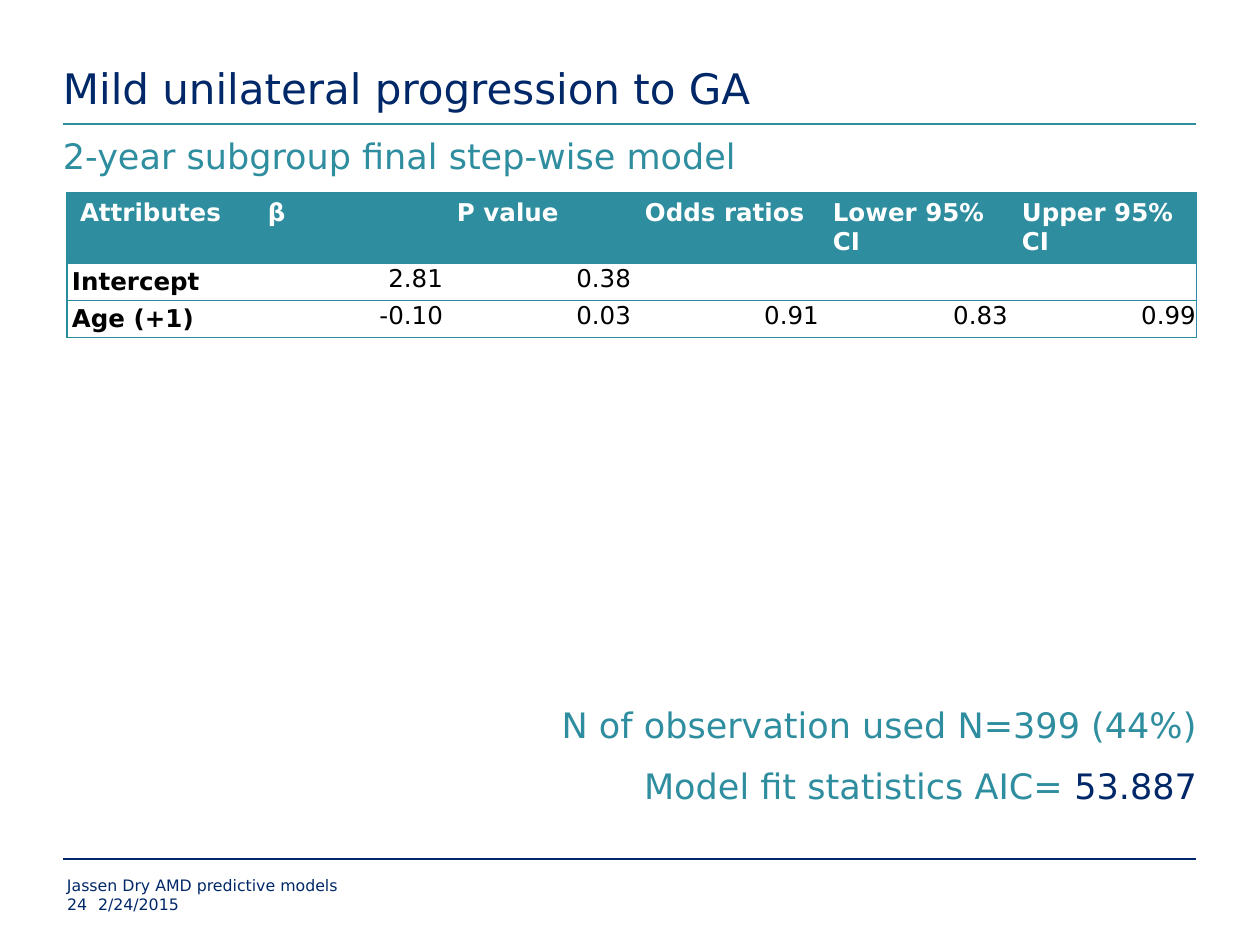
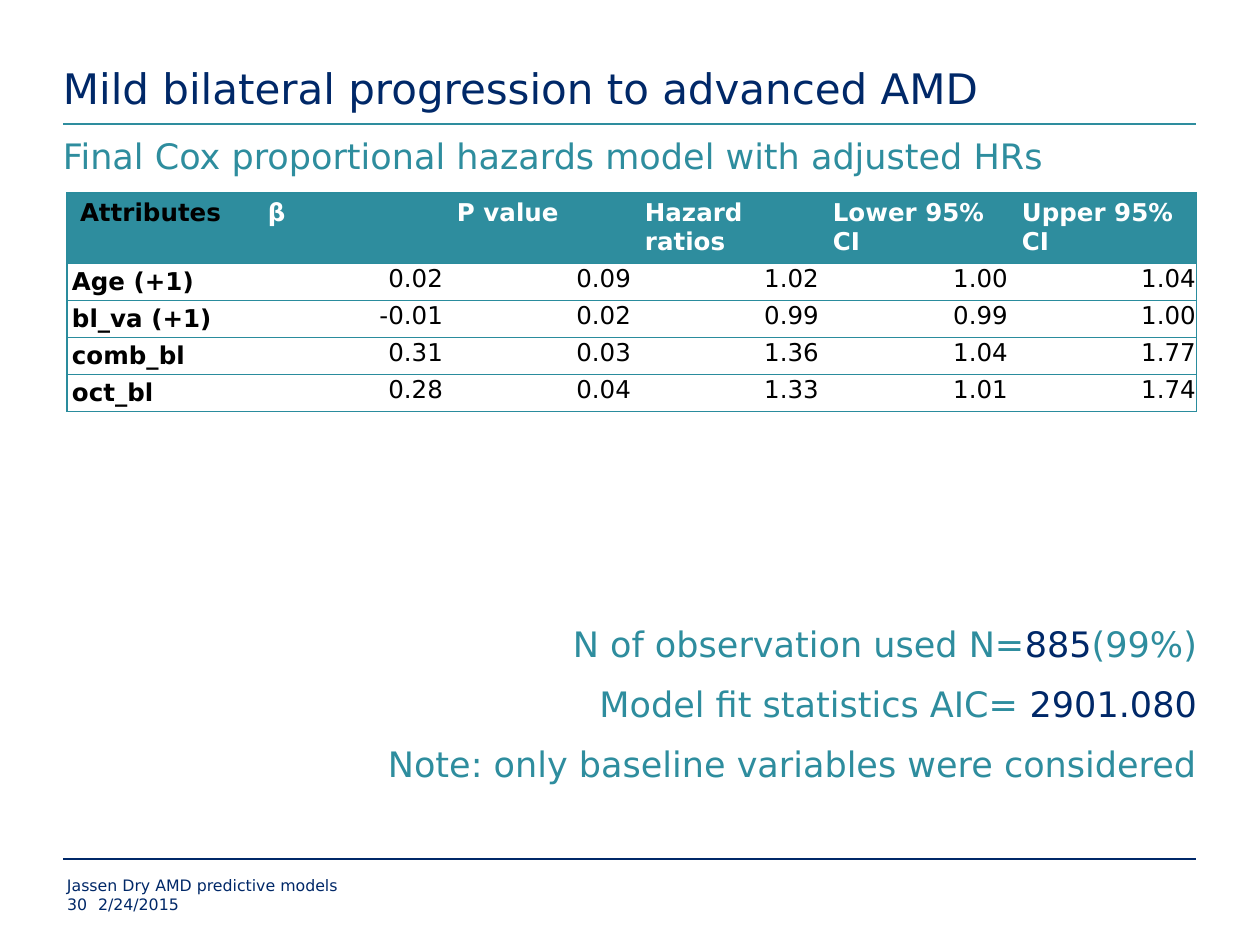
from dataclasses import dataclass

from lxml import etree
from pptx import Presentation
from pptx.dml.color import RGBColor
from pptx.enum.shapes import MSO_CONNECTOR
from pptx.enum.text import MSO_ANCHOR, PP_ALIGN
from pptx.oxml.ns import qn
from pptx.util import Emu, Pt

STRAIGHT = MSO_CONNECTOR.STRAIGHT
TOP, BOTTOM = MSO_ANCHOR.TOP, MSO_ANCHOR.BOTTOM
LEFT, RIGHT = PP_ALIGN.LEFT, PP_ALIGN.RIGHT

PIXELS_PER_INCH = 126
EMU_PER_PIXEL = 914400 / PIXELS_PER_INCH


@dataclass(frozen=True)
class Theme:
    navy: str = "002868"
    teal: str = "2E8D9E"
    border: str = "2A8C9D"
    black: str = "000000"
    white: str = "FFFFFF"
    font: str = "DejaVu Sans"
    title_size: int = 24
    body_size: int = 20
    table_size: int = 14
    footer_size: int = 9
    rule_width: float = 1.5
    border_width: float = 0.75


@dataclass(frozen=True)
class Run:
    text: str
    color: str


@dataclass(frozen=True)
class Box:
    left: int
    top: int
    width: int
    height: int


@dataclass(frozen=True)
class ModelSlide:
    title: str
    subtitle: str
    number: str
    ratio_name: str
    first_header_color: str
    rows: list[list[str]]
    summary: list[list[Run]]
    summary_box: Box


THEME = Theme()
SLIDE_WIDTH, SLIDE_HEIGHT = 1260, 945
MARGIN, CONTENT_WIDTH = 63, 1134
RULE_END = 1196
TITLE_BOX = Box(MARGIN, 0, CONTENT_WIDTH, 113)
SUBTITLE_BOX = Box(MARGIN, 135, CONTENT_WIDTH, 62)
TITLE_RULE_TOP, FOOTER_RULE_TOP = 124, 859
FOOTER_BOX = Box(67, 876, 945, 19)
NUMBER_BOX = Box(67, 895, 31, 19)
DATE_BOX = Box(98, 895, 914, 19)
TABLE_LEFT, TABLE_TOP, TABLE_WIDTH = 67, 193, 1130
HEADER_HEIGHT, ROW_HEIGHT = 70, 37
HEADER_INSETS = (13, 6, 13, 6)
LABEL_INSETS = (5, 0, 5, 0)
VALUE_INSETS = (1, 1, 1, 0)

FOOTER = "Jassen Dry AMD predictive models"
DATE = "2/24/2015"
OBSERVATIONS = "N of observation used N="
FIT = "Model fit statistics AIC="

SLIDES = [
    ModelSlide(
        title="Mild unilateral progression to GA",
        subtitle="2-year subgroup final step-wise model",
        number="24",
        ratio_name="Odds ratios",
        first_header_color=THEME.white,
        rows=[
            ["Intercept", "2.81", "0.38", "", "", ""],
            ["Age (+1)", "-0.10", "0.03", "0.91", "0.83", "0.99"],
        ],
        summary=[
            [Run(OBSERVATIONS + "399 (44%)", THEME.teal)],
            [Run(FIT, THEME.teal), Run(" 53.887", THEME.navy)],
        ],
        summary_box=Box(MARGIN, 704, CONTENT_WIDTH, 123),
    ),
    ModelSlide(
        title="Mild bilateral progression to advanced AMD",
        subtitle="Final Cox proportional hazards model with adjusted HRs",
        number="30",
        ratio_name="Hazard ratios",
        first_header_color=THEME.black,
        rows=[
            ["Age (+1)", "0.02", "0.09", "1.02", "1.00", "1.04"],
            ["bl_va (+1)", "-0.01", "0.02", "0.99", "0.99", "1.00"],
            ["comb_bl", "0.31", "0.03", "1.36", "1.04", "1.77"],
            ["oct_bl", "0.28", "0.04", "1.33", "1.01", "1.74"],
        ],
        summary=[
            [Run(OBSERVATIONS, THEME.teal), Run("885", THEME.navy), Run("(99%)", THEME.teal)],
            [Run(FIT, THEME.teal), Run(" 2901.080", THEME.navy)],
            [Run("Note: only baseline variables were considered", THEME.teal)],
        ],
        summary_box=Box(MARGIN, 622, CONTENT_WIDTH, 205),
    ),
]


def px(pixels: float) -> Emu:
    return Emu(round(pixels * EMU_PER_PIXEL))


def set_insets(target, insets: tuple[int, int, int, int]) -> None:
    left, top, right, bottom = map(px, insets)
    target.margin_left, target.margin_top = left, top
    target.margin_right, target.margin_bottom = right, bottom


def write_text(frame, paragraphs: list[list[Run]], *, size: int, bold: bool = False,
               align=LEFT, gap: float = 0, before: float = 0, after: float = 0,
               line_spacing: float = 1.0) -> None:
    for index, runs in enumerate(paragraphs):
        paragraph = frame.add_paragraph() if index else frame.paragraphs[0]
        paragraph.alignment = align
        paragraph.space_before = Pt(gap if index else before)
        paragraph.space_after = Pt(after)
        paragraph.line_spacing = line_spacing
        for part in runs:
            run = paragraph.add_run()
            run.text = part.text
            run.font.name = THEME.font
            run.font.size = Pt(size)
            run.font.bold = bold
            run.font.color.rgb = RGBColor.from_string(part.color)
        if not runs:
            etree.SubElement(paragraph._p, qn("a:endParaRPr"), sz=str(size * 100))


def add_text(slide, box: Box, paragraphs: list[list[Run]], *, anchor=TOP, **text_format) -> None:
    shape = slide.shapes.add_textbox(px(box.left), px(box.top), px(box.width), px(box.height))
    frame = shape.text_frame
    frame.word_wrap = True
    frame.vertical_anchor = anchor
    set_insets(frame, (0, 0, 0, 0))
    write_text(frame, paragraphs, **text_format)


def add_rule(slide, top: int, color: str) -> None:
    rule = slide.shapes.add_connector(STRAIGHT, px(MARGIN), px(top), px(RULE_END), px(top))
    rule.line.color.rgb = RGBColor.from_string(color)
    rule.line.width = Pt(THEME.rule_width)
    etree.SubElement(rule._element.spPr, qn("a:effectLst"))


def set_borders(cell, is_first: bool, is_last: bool) -> None:
    properties = cell._tc.get_or_add_tcPr()
    sides = {"a:lnL": is_first, "a:lnR": is_last, "a:lnT": True, "a:lnB": True}
    for position, (tag, visible) in enumerate(sides.items()):
        line = etree.Element(qn(tag), w=str(Pt(THEME.border_width)))
        if visible:
            fill = etree.SubElement(line, qn("a:solidFill"))
            etree.SubElement(fill, qn("a:srgbClr"), val=THEME.border)
        else:
            etree.SubElement(line, qn("a:noFill"))
        properties.insert(position, line)


def fill_cell(cell, text: str, content: ModelSlide, row: int, column: int) -> None:
    cell.vertical_anchor = TOP
    if row == 0:
        color = THEME.white if column else content.first_header_color
        insets, text_format = HEADER_INSETS, {"bold": True}
        cell.fill.solid()
        cell.fill.fore_color.rgb = RGBColor.from_string(THEME.teal)
    else:
        color = THEME.black
        cell.fill.background()
        if column == 0:
            insets = LABEL_INSETS
            text_format = {"bold": True, "before": 3, "after": 3, "line_spacing": 1.15}
        else:
            insets, text_format = VALUE_INSETS, {"align": RIGHT}
    set_insets(cell, insets)
    runs = [Run(text, color)] if text else []
    write_text(cell.text_frame, [runs], size=THEME.table_size, **text_format)


def add_model_table(slide, content: ModelSlide) -> None:
    header = ["Attributes", "β", "P value", content.ratio_name, "Lower 95% CI", "Upper 95% CI"]
    rows = [header, *content.rows]
    count = len(header)
    height = HEADER_HEIGHT + ROW_HEIGHT * len(content.rows)
    table = slide.shapes.add_table(len(rows), count, px(TABLE_LEFT), px(TABLE_TOP),
                                   px(TABLE_WIDTH), px(height)).table
    table.horz_banding = False
    table.first_row = False
    edges = [round(index * TABLE_WIDTH / count) for index in range(count + 1)]
    for column, (start, end) in zip(table.columns, zip(edges, edges[1:])):
        column.width = px(end - start)
    for row_index, values in enumerate(rows):
        table.rows[row_index].height = px(ROW_HEIGHT if row_index else HEADER_HEIGHT)
        for column_index, text in enumerate(values):
            cell = table.cell(row_index, column_index)
            fill_cell(cell, text, content, row_index, column_index)
            set_borders(cell, column_index == 0, column_index == count - 1)


def add_frame(slide, content: ModelSlide) -> None:
    add_rule(slide, TITLE_RULE_TOP, THEME.teal)
    add_rule(slide, FOOTER_RULE_TOP, THEME.navy)
    add_text(slide, TITLE_BOX, [[Run(content.title, THEME.navy)]],
             size=THEME.title_size, anchor=BOTTOM)
    footer = [(DATE_BOX, DATE), (FOOTER_BOX, FOOTER), (NUMBER_BOX, content.number)]
    for box, text in footer:
        add_text(slide, box, [[Run(text, THEME.navy)]], size=THEME.footer_size)


def add_model_slide(presentation, content: ModelSlide) -> None:
    slide = presentation.slides.add_slide(presentation.slide_layouts[6])
    add_frame(slide, content)
    add_text(slide, SUBTITLE_BOX, [[Run(content.subtitle, THEME.teal)]], size=THEME.body_size)
    add_model_table(slide, content)
    add_text(slide, content.summary_box, content.summary,
             size=THEME.body_size, align=RIGHT, gap=10.5)


def main() -> None:
    presentation = Presentation()
    presentation.slide_width = px(SLIDE_WIDTH)
    presentation.slide_height = px(SLIDE_HEIGHT)
    for content in SLIDES:
        add_model_slide(presentation, content)
    presentation.save("out.pptx")


main()
